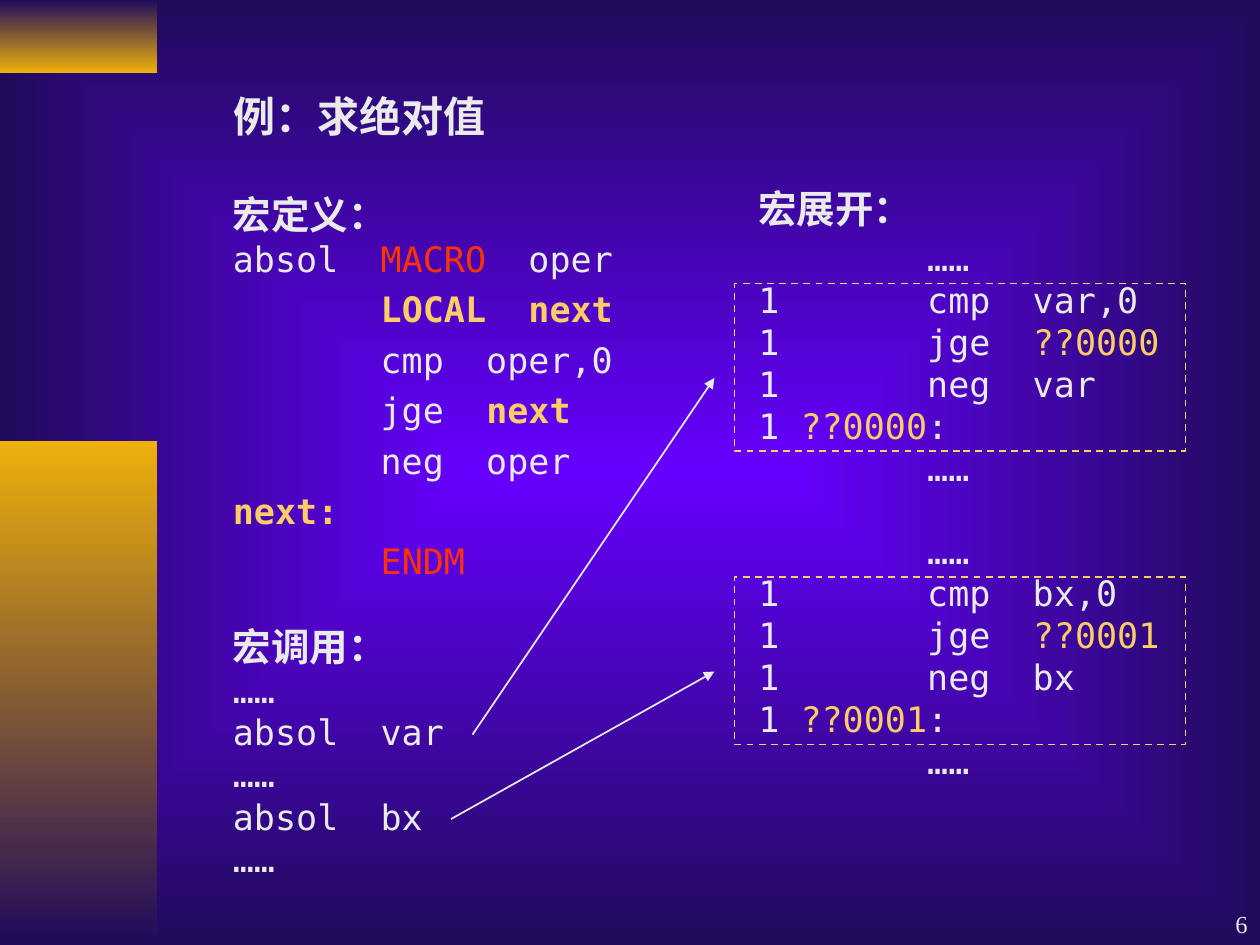
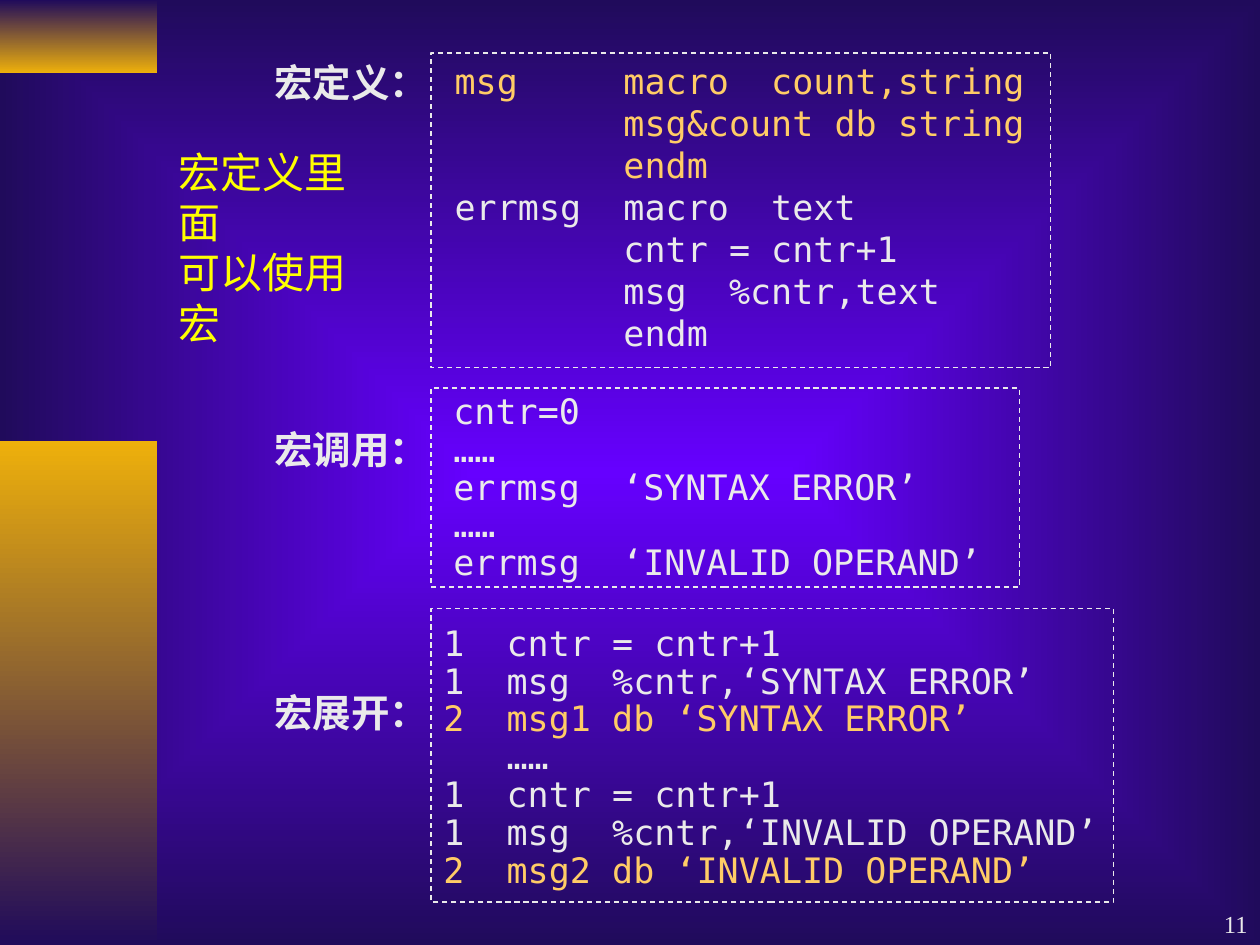
from dataclasses import dataclass
from lxml.etree import SubElement
from pptx import Presentation
from pptx.dml.color import RGBColor
from pptx.enum.dml import MSO_LINE
from pptx.enum.shapes import MSO_CONNECTOR, MSO_SHAPE
from pptx.enum.text import MSO_ANCHOR, MSO_AUTO_SIZE, PP_ALIGN
from pptx.oxml.ns import qn
from pptx.util import Inches, Pt

COLOURS = {
    "text": "EAEAEA",
    "keyword": "FF3300",
    "label": "FFCC66",
    "note": "FFFF00",
    "band": "EEB00B",
    "glow": "6600FF",
    "night": "200B5B",
}
SERIF, COURIER, MONO = "Times New Roman", "Courier New", "DejaVu Sans Mono"
CODE_LINE = 23.3  # height in points of one line of code


def rgb(name):
    return RGBColor.from_string(COLOURS[name])


def set_gradient(fill, start, end):
    fill.gradient()
    for stop, name in zip(fill.gradient_stops, (start, end)):
        stop.color.rgb = rgb(name)


@dataclass
class Line:
    """One paragraph; a run is (text, colour) or (text, colour, bold)."""
    runs: list
    size: int = 20
    font: str = MONO
    bold: bool = False
    spacing: float = 1.0
    before: float = 0


def code(*runs, **options):
    """A line of code, where a plain string is a run in the text colour."""
    return Line([(r, "text") if isinstance(r, str) else r for r in runs], **options)


def heading(text, font=SERIF, **options):
    return code(text, size=22, font=font, bold=True, **options)


class Deck:
    def __init__(self):
        self.prs = Presentation()
        self.prs.slide_width, self.prs.slide_height = Inches(10), Inches(7.5)
        self.slide = None
        self.paint_background()

    def paint_background(self):
        """Give the master a gradient that spreads from the centre."""
        master = self.prs.slide_master
        set_gradient(master.background.fill, "glow", "night")
        gradient = master.element.find(f".//{qn('p:bg')}//{qn('a:gradFill')}")
        gradient.remove(gradient.find(qn("a:lin")))
        spread = SubElement(gradient, qn("a:path"), {"path": "rect"})
        SubElement(spread, qn("a:fillToRect"),
                   {side: "50000" for side in "ltrb"})

    def new_slide(self, number):
        self.slide = self.prs.slides.add_slide(self.prs.slide_layouts[5])
        self.band(0, 0.58, "night", "band")
        self.band(3.5, 4, "band", "night")
        self.text((7.92, 7, 2.08, 0.5), [code(number, size=14, font=SERIF)],
                  align=PP_ALIGN.RIGHT, anchor=MSO_ANCHOR.BOTTOM)

    def band(self, top, height, start, end):
        band = self.slide.shapes.add_shape(
            MSO_SHAPE.RECTANGLE, 0, Inches(top), Inches(1.25), Inches(height))
        band.shadow.inherit = False
        set_gradient(band.fill, start, end)
        band.fill.gradient_angle = 270
        band.line.fill.background()

    def set_lines(self, frame, lines, align, anchor, wrap):
        frame.auto_size = MSO_AUTO_SIZE.NONE
        frame.word_wrap = wrap
        frame.vertical_anchor = anchor
        frame.margin_left = frame.margin_right = Inches(0.1)
        frame.margin_top = frame.margin_bottom = Inches(0.05)
        for index, line in enumerate(lines):
            paragraph = frame.add_paragraph() if index else frame.paragraphs[0]
            paragraph.alignment = align
            paragraph.line_spacing = line.spacing
            if line.before:
                paragraph.space_before = Pt(line.before)
            paragraph.font.name = line.font
            paragraph.font.size = Pt(line.size)
            paragraph.font.bold = line.bold
            for text, colour, *bold in line.runs:
                run = paragraph.add_run()
                run.text = text
                run.font.color.rgb = rgb(colour)
                if bold:
                    run.font.bold = bold[0]

    def text(self, box, lines, align=PP_ALIGN.JUSTIFY, anchor=MSO_ANCHOR.TOP):
        added = self.slide.shapes.add_textbox(*map(Inches, box))
        self.set_lines(added.text_frame, lines, align, anchor, True)

    def title(self, box, lines):
        title = self.slide.shapes.title
        title.left, title.top, title.width, title.height = map(Inches, box)
        self.set_lines(title.text_frame, lines, PP_ALIGN.LEFT, MSO_ANCHOR.TOP, False)

    def frame(self, box, colour, width):
        """Draw a dashed outline round a piece of code."""
        outline = self.slide.shapes.add_shape(MSO_SHAPE.RECTANGLE, *map(Inches, box))
        outline.shadow.inherit = False
        outline.fill.background()
        outline.line.color.rgb = rgb(colour)
        outline.line.width = Pt(width)
        outline.line.dash_style = MSO_LINE.DASH

    def arrow(self, start, end):
        arrow = self.slide.shapes.add_connector(
            MSO_CONNECTOR.STRAIGHT, *map(Inches, start + end))
        arrow.line.color.rgb = rgb("text")
        arrow.line.width = Pt(1)
        properties = arrow.element.spPr
        SubElement(properties.find(qn("a:ln")), qn("a:tailEnd"), type="triangle")
        SubElement(properties, qn("a:effectLst"))


def expansion(operand, label, before):
    """The lines that one call of absol expands to."""
    return [
        code("        ……", before=before),
        code(f"1       cmp  {operand},0"),
        code("1       jge  ", (label, "label")),
        code(f"1       neg  {operand}"),
        code("1 ", (label, "label"), ":"),
        code("        ……"),
    ]


def absolute_value_slide(deck):
    deck.new_slide("6")
    deck.title((1.75, 0.67, 3.75, 0.5),
               [code("例：求绝对值", size=24, font=SERIF, bold=True)])
    body = [
        ["       ", ("LOCAL  next", "label", True)],
        ["       cmp  oper,0"],
        ["       jge  ", ("next", "label", True)],
        ["       neg  oper"],
        [("next:", "label", True)],
        ["       ", ("ENDM", "keyword")],
    ]
    calls = ["……", "absol  var", "……", "absol  bx", "……"]
    deck.text((1.75, 1.47, 3.75, 5.57), [
        heading("宏定义："),
        code("absol  ", ("MACRO", "keyword"), "  oper"),
        *[code(*runs, spacing=1.2) for runs in body],
        heading("宏调用：", before=CODE_LINE),
        *map(code, calls),
    ])
    deck.text((5.92, 1.42, 3.42, 4.87), [
        heading("宏展开："),
        *expansion("var", "??0000", before=3),
        *expansion("bx", "??0001", before=CODE_LINE),
    ])
    deck.arrow((3.75, 5.83), (5.67, 3))
    deck.arrow((3.58, 6.5), (5.67, 5.33))
    for top in (2.25, 4.58):
        deck.frame((5.83, top, 3.58, 1.33), "label", 1)


def nested_macro_slide(deck):
    deck.new_slide("11")
    deck.title((1.32, 1.11, 1.86, 0.9), [
        Line([(text, "note")], size=24, font=SERIF)
        for text in ("宏定义里面", "可以使用宏")
    ])
    definition = [
        ("msg     macro  count,string", "label"),
        ("        msg&count db string", "label"),
        ("        endm", "label"),
        "errmsg  macro  text",
        "        cntr = cntr+1",
        "        msg  %cntr,text",
        "        endm",
    ]
    call = ["cntr=0", "……", "errmsg  ‘SYNTAX ERROR’",
            "……", "errmsg  ‘INVALID OPERAND’"]
    expanded = [
        "1  cntr = cntr+1",
        "1  msg  %cntr,‘SYNTAX ERROR’",
        ("2  msg1 db ‘SYNTAX ERROR’", "label"),
        "   ……",
        "1  cntr = cntr+1",
        "1  msg  %cntr,‘INVALID OPERAND’",
        ("2  msg2 db ‘INVALID OPERAND’", "label"),
    ]
    sections = [
        ("宏定义：", 0.42, definition, 1.0, (3.51, 0.42, 4.91, 2.44), (3.42, 0.42, 4.92, 2.5)),
        ("宏调用：", 3.33, call, 0.9, (3.5, 3.08, 4.67, 1.6), (3.42, 3.08, 4.67, 1.58)),
        ("宏展开：", 5.42, expanded, 0.9, (3.42, 4.92, 5.42, 2.2), (3.42, 4.83, 5.42, 2.33)),
    ]
    for name, top, listing, spacing, code_box, frame_box in sections:
        deck.text((2.08, top, 1.67, 0.47), [heading(name, COURIER)])
        deck.text(code_box, [code(line, spacing=spacing) for line in listing])
        deck.frame(frame_box, "text", 0.75)


def main():
    deck = Deck()
    absolute_value_slide(deck)
    nested_macro_slide(deck)
    deck.prs.save("out.pptx")


if __name__ == "__main__":
    main()
